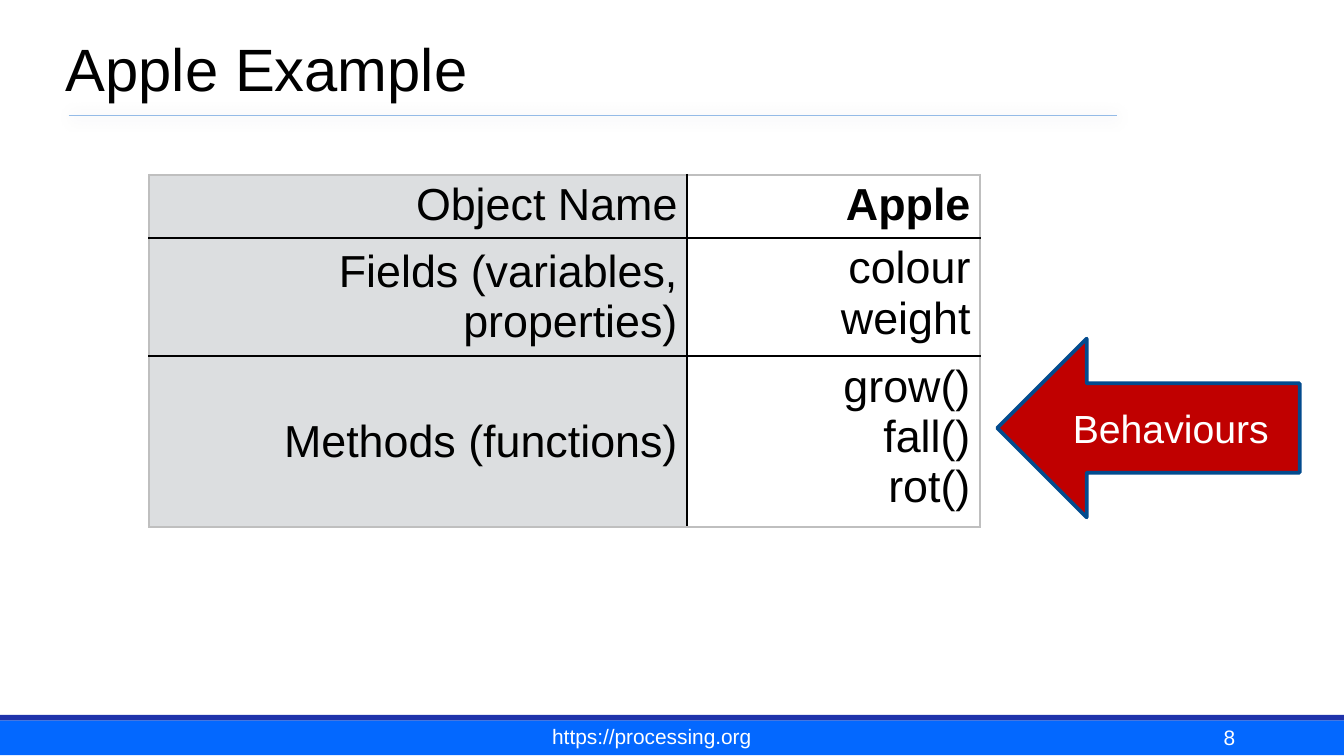
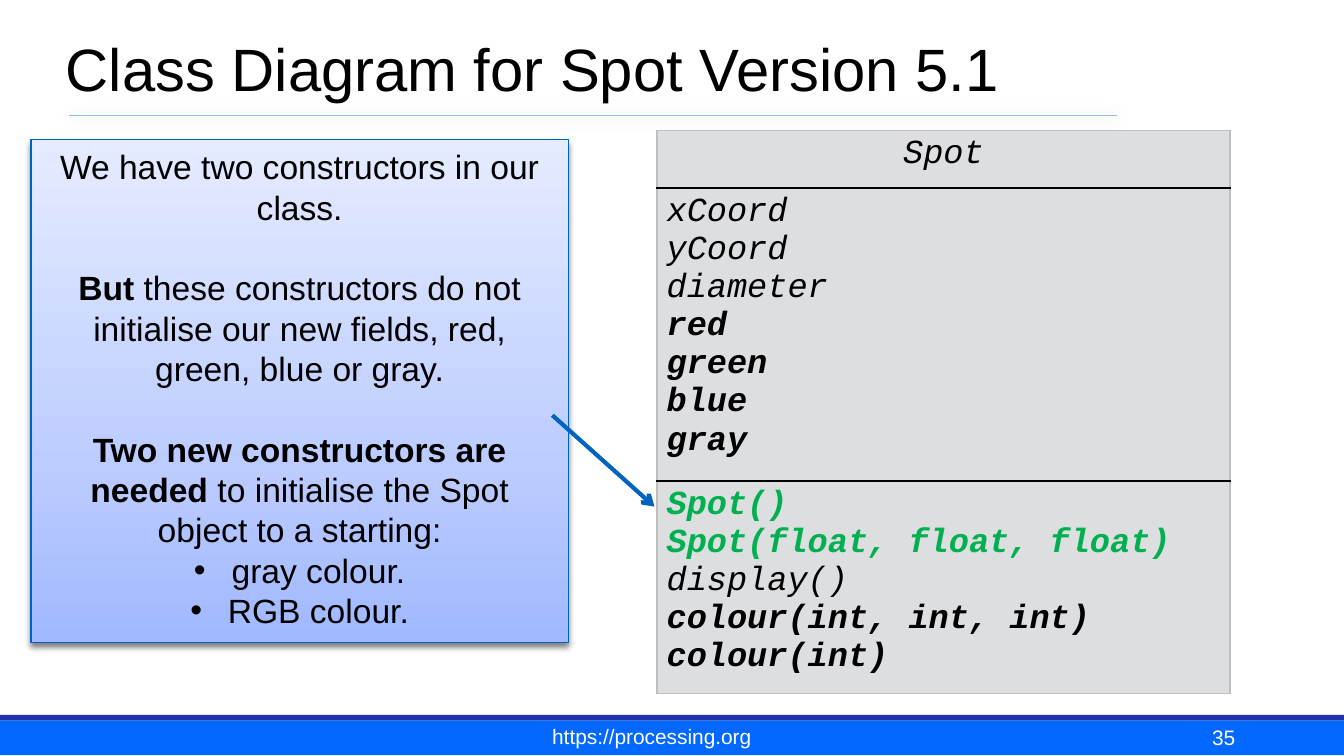
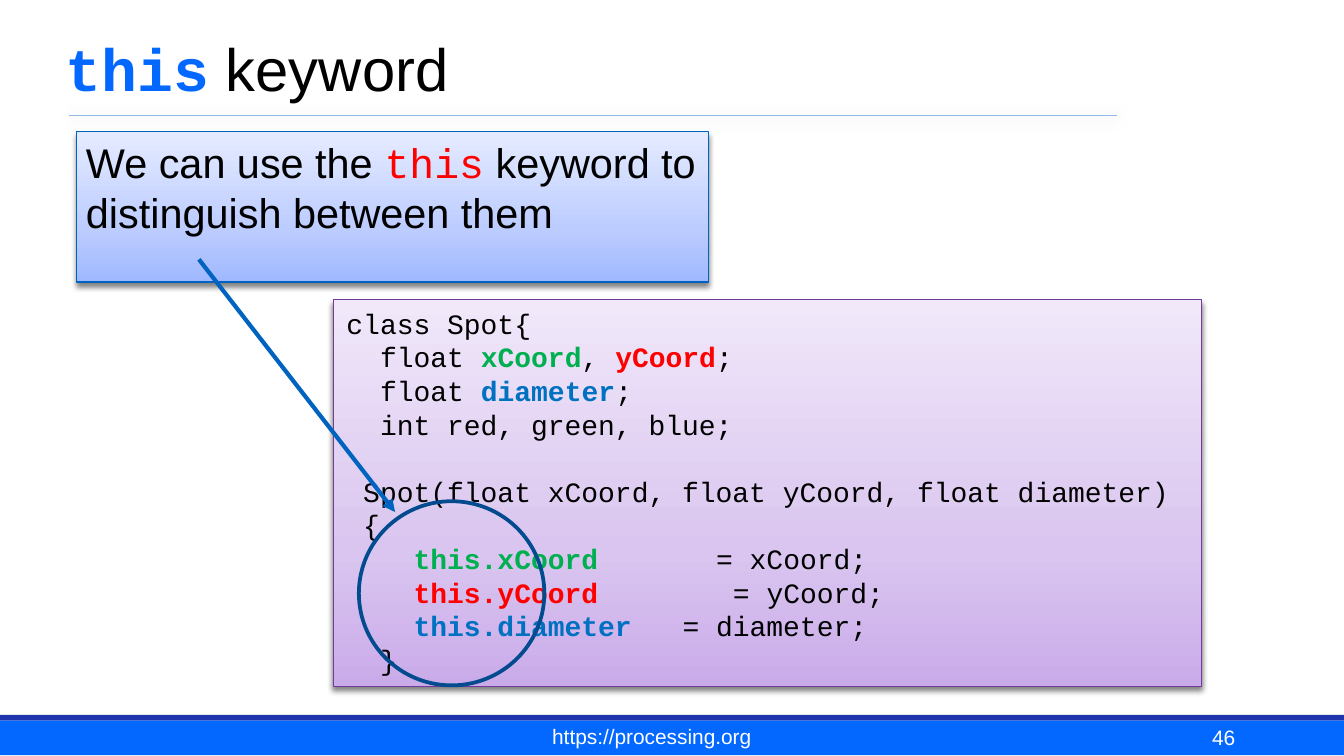
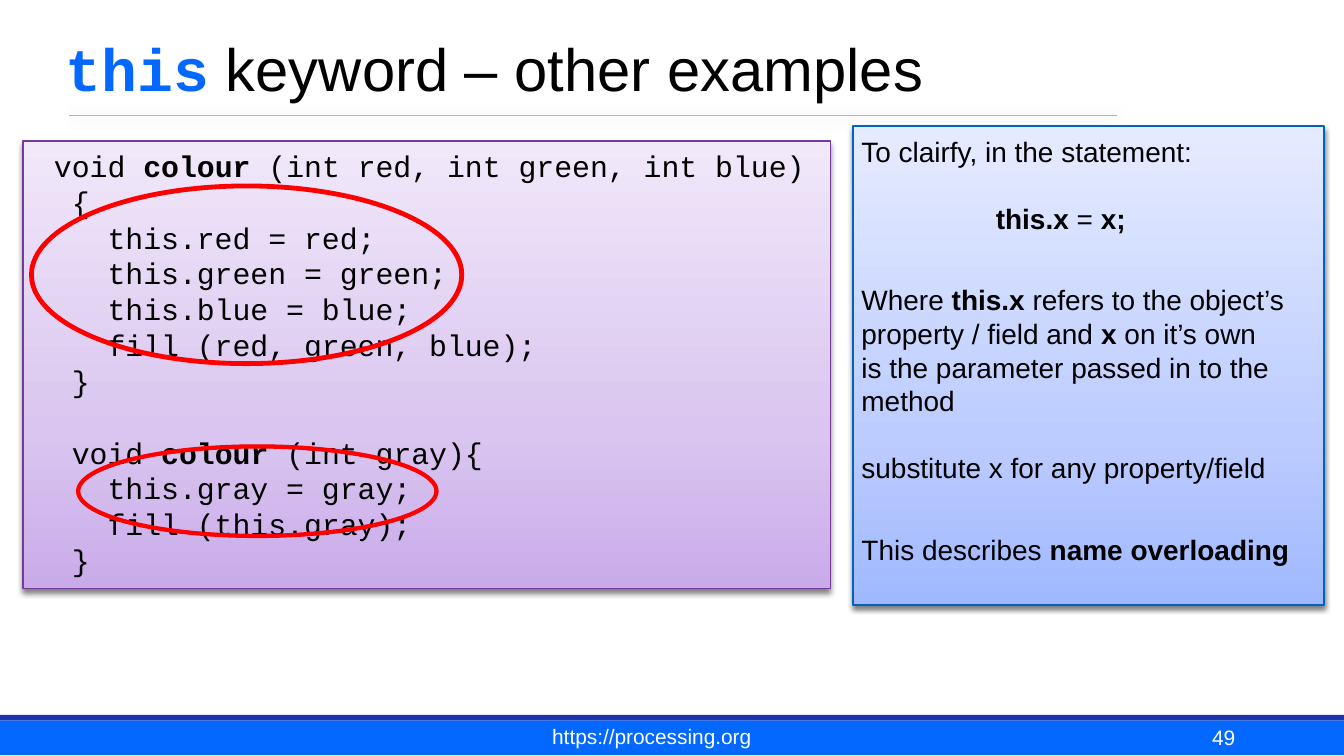
from lxml import etree
from pptx import Presentation
from pptx.dml.color import RGBColor
from pptx.enum.shapes import MSO_CONNECTOR as CONN, MSO_SHAPE as SHAPE
from pptx.enum.text import MSO_ANCHOR as ANCHOR, PP_ALIGN as ALIGN
from pptx.oxml import parse_xml
from pptx.oxml.ns import nsdecls, qn
from pptx.util import Inches, Pt

C = {
    "black": "000000", "white": "FFFFFF", "bar": "0368FF", "bar_edge": "1F33AB",
    "rule": "94BBE7", "rule_shadow": "003D62", "arrow": "0063BF", "outline": "024B8E",
    "callout": "C00000", "cell": "DCDEE0", "frame": "BFBFBF",
    "green": "00B050", "red": "FF0000", "blue": "0070C0",
}
SANS, MONO = "Arial", "Courier New"
BOLD = {"bold": True}
TITLE_THIS = ("this", {"name": MONO, "color": "bar", "bold": True})
PANELS = {
    "blue": {"stops": ((0, "A0B8FF"), (35, "BCCCFF"), (100, "E5EBFF")), "line": "0063BF"},
    "purple": {"stops": ((0, "CAABEA"), (35, "D9C5EF"), (100, "F1E8FA")), "line": "753B9A"},
}


def rgb(name):
    return RGBColor.from_string(C.get(name, name))


def para(*runs, bullet=False, tab=None, **fmt):
    """A paragraph: runs are strings or (string, font values) pairs."""
    return runs, bullet, tab, fmt


def colored(text, color, **fmt):
    return text, {"color": color, **fmt}


def add_bullet(p):
    pPr = p._p.get_or_add_pPr()
    pPr.set("marL", str(Inches(0.28)))
    pPr.set("indent", str(-Inches(0.28)))
    etree.SubElement(pPr, qn("a:buFont")).set("typeface", SANS)
    etree.SubElement(pPr, qn("a:buChar")).set("char", "•")


def add_tab(p, at):
    tabs = etree.SubElement(p._p.get_or_add_pPr(), qn("a:tabLst"))
    etree.SubElement(tabs, qn("a:tab"), pos=str(Inches(at)), algn="l")


def write(tf, paras, size, name=SANS, color="black", align=ALIGN.LEFT, pitch=None, **font):
    """Fill a text frame; pitch is the line height as a multiple of the size."""
    for i, item in enumerate(paras):
        runs, bullet, tab, fmt = para(item) if isinstance(item, str) else item
        p = tf.paragraphs[0] if i == 0 else tf.add_paragraph()
        if bullet:
            add_bullet(p)
        if tab:
            add_tab(p, tab)
        values = {"alignment": align, **fmt}
        if pitch:
            values["line_spacing"] = Pt(round(size * pitch, 1))
        for key, value in values.items():
            setattr(p, key, value)
        for run in runs:
            text, own = (run, {}) if isinstance(run, str) else run
            r = p.add_run()
            r.text = text
            look = {"size": Pt(size), "name": name, "color": color, **font, **own}
            r.font.color.rgb = rgb(look.pop("color"))
            for key, value in look.items():
                setattr(r.font, key, value)


def set_margins(target, dx, dy):
    for side, gap in zip(("left", "top", "right", "bottom"), (dx, dy, dx, dy)):
        setattr(target, f"margin_{side}", Inches(gap))


def setup_frame(tf, anchor, insets):
    tf.word_wrap = True
    tf.vertical_anchor = anchor
    set_margins(tf, *insets)


def add_text(s, box, paras, size, insets=(0.06, 0.06), **fmt):
    tf = s.shapes.add_textbox(*map(Inches, box)).text_frame
    setup_frame(tf, ANCHOR.BOTTOM, insets)
    write(tf, paras, size, **fmt)


def add_shape(s, kind, box, fill=None, line=None, width=1):
    sp = s.shapes.add_shape(kind, *map(Inches, box))
    sp.shadow.inherit = False
    if fill:
        sp.fill.solid()
        sp.fill.fore_color.rgb = rgb(fill)
    else:
        sp.fill.background()
    if line:
        sp.line.color.rgb = rgb(line)
        sp.line.width = Pt(width)
    else:
        sp.line.fill.background()
    return sp


def add_shadow(effects, color, alpha, blur, dist, angle):
    effects.append(parse_xml(
        f'<a:outerShdw {nsdecls("a")} blurRad="{Pt(blur)}" dist="{Pt(dist)}" '
        f'dir="{angle * 60000}" rotWithShape="0"><a:srgbClr val="{C[color]}">'
        f'<a:alpha val="{alpha * 1000}"/></a:srgbClr></a:outerShdw>'))


def add_panel(s, style, box, paras, size, insets=(0.1, 0.05), width=0.75, **fmt):
    """A shadowed box with a gradient that darkens downwards."""
    look = PANELS[style]
    sp = add_shape(s, SHAPE.RECTANGLE, box, line=look["line"], width=width)
    sp.fill.gradient()
    sp.fill.gradient_angle = 90
    stops = sp._element.spPr.find(".//" + qn("a:gsLst"))
    for old in list(stops):
        stops.remove(old)
    for pos, color in look["stops"]:
        gs = etree.SubElement(stops, qn("a:gs"), pos=str(pos * 1000))
        etree.SubElement(gs, qn("a:srgbClr"), val=color)
    add_shadow(sp._element.spPr.find(qn("a:effectLst")), "black", 50, 3, 2, 90)
    setup_frame(sp.text_frame, ANCHOR.TOP, insets)
    write(sp.text_frame, paras, size, pitch=1.2, **fmt)


def add_line(s, start, end, color, width, head=None):
    """Draw a straight line and return its effect list."""
    cn = s.shapes.add_connector(CONN.STRAIGHT, *map(Inches, start + end))
    cn.line.color.rgb = rgb(color)
    cn.line.width = Pt(width)
    spPr = cn._element.spPr
    if head:
        etree.SubElement(spPr.find(qn("a:ln")), qn("a:tailEnd"), type=head)
    return etree.SubElement(spPr, qn("a:effectLst"))


def add_ring(s, box):
    sp = add_shape(s, SHAPE.DONUT, box, "red", "red", 2)
    sp.adjustments[0] = 0.006


def set_borders(cell, outer):
    """Black inner borders; the sides named in outer get the frame colour."""
    tcPr = cell._tc.get_or_add_tcPr()
    for i, side in enumerate("LRTB"):
        color = C["frame" if side in outer else "black"]
        tcPr.insert(i, parse_xml(
            f'<a:ln{side} {nsdecls("a")} w="{Pt(1)}"><a:solidFill>'
            f'<a:srgbClr val="{color}"/></a:solidFill></a:ln{side}>'))


def add_table(s, at, widths, heights, rows):
    """Each cell is (paragraphs, fill or None, anchor, text format)."""
    size = sum(widths), sum(heights)
    table = s.shapes.add_table(len(rows), len(widths), *map(Inches, at + size)).table
    for flag in ("first_row", "horz_banding"):
        setattr(table, flag, False)
    for col, width in zip(table.columns, widths):
        col.width = Inches(width)
    for i, (row, height) in enumerate(zip(rows, heights)):
        table.rows[i].height = Inches(height)
        for j, (paras, fill, anchor, fmt) in enumerate(row):
            cell = table.cell(i, j)
            set_margins(cell, 0.07, 0.04)
            cell.vertical_anchor = anchor
            if fill:
                cell.fill.solid()
                cell.fill.fore_color.rgb = rgb(fill)
            else:
                cell.fill.background()
            write(cell.text_frame, paras, **fmt)
            edges = (("L", j == 0), ("R", j == len(row) - 1),
                     ("T", i == 0), ("B", i == len(rows) - 1))
            set_borders(cell, [side for side, is_outer in edges if is_outer])


def new_slide(prs, number, *title):
    s = prs.slides.add_slide(prs.slide_layouts[6])
    add_shape(s, SHAPE.RECTANGLE, (0, 5.36, 10, 0.26), "bar")
    add_shape(s, SHAPE.RECTANGLE, (0, 5.32, 10, 0.04), "bar_edge")
    rule = add_line(s, (0.51, 0.86), (8.31, 0.86), "rule", 1)
    add_shadow(rule, "rule_shadow", 20, 8, 1, 45)
    add_text(s, (0.43, 0, 8.5, 0.83), [para(*title)], 32)
    add_text(s, (3.52, 5.35, 2.66, 0.26), ["https://processing.org"], 11.2,
             insets=(0.08, 0.04), color="white", align=ALIGN.CENTER)
    add_text(s, (7.17, 5.33, 2.08, 0.31), [str(number)], 11.2,
             color="white", align=ALIGN.RIGHT)
    return s


def apple_slide(prs):
    s = new_slide(prs, 8, "Apple Example")
    fmt = {"size": 24, "align": ALIGN.RIGHT, "pitch": 1.12}
    content = (
        ("Object Name", ANCHOR.TOP, [para(("Apple", BOLD))]),
        ("Fields (variables, properties)", ANCHOR.MIDDLE, ["colour", "weight"]),
        ("Methods (functions)", ANCHOR.MIDDLE, ["grow()", "fall()", "rot()"]),
    )
    rows = [(([label], "cell", anchor, fmt), (values, None, ANCHOR.TOP, fmt))
            for label, anchor, values in content]
    add_table(s, (1.11, 1.3), (4, 2.18), (0.47, 0.88, 1.27), rows)
    sp = add_shape(s, SHAPE.LEFT_ARROW, (7.42, 2.52, 2.25, 1.33), "callout", "outline", 2)
    setup_frame(sp.text_frame, ANCHOR.MIDDLE, (0.1, 0.05))
    write(sp.text_frame, ["Behaviours"], 21, color="white", align=ALIGN.CENTER)


def class_diagram_slide(prs):
    s = new_slide(prs, 35, "Class Diagram for Spot Version 5.1")
    fmt = {"size": 18, "name": MONO, "italic": True}
    fields = ["xCoord", "yCoord", "diameter"]
    fields += [para((name, BOLD)) for name in ("red", "green", "blue", "gray")]
    methods = [para(colored(name, "green", bold=True))
               for name in ("Spot()", "Spot(float, float, float)")]
    methods += ["display()"]
    methods += [para((name, BOLD)) for name in ("colour(int, int, int)", "colour(int)")]
    rows = [((["Spot"], "cell", ANCHOR.TOP, {**fmt, "align": ALIGN.CENTER}),)]
    rows += [((paras, "cell", ANCHOR.TOP, fmt),) for paras in (fields, methods)]
    add_table(s, (4.89, 0.97), (4.26,), (0.43, 2.17, 1.57), rows)

    gap = Pt(21.6)
    add_panel(s, "blue", (0.23, 1.04, 4, 3.74), [
        "We have two constructors in our class.",
        para(("But", BOLD), " these constructors do not initialise our new fields, "
             "red, green, blue or gray.", space_before=gap),
        para(("Two new constructors are needed ", BOLD),
             "to initialise the Spot object to a starting:", space_before=gap),
        para("gray colour.", bullet=True),
        para("RGB colour.", bullet=True),
    ], 18, align=ALIGN.CENTER)
    add_line(s, (4.11, 3.09), (4.87, 3.77), "arrow", 2.25, "arrow")


def this_slide(prs):
    s = new_slide(prs, 46, TITLE_THIS, " keyword")
    x, y, d = (colored(name, color, bold=True) for name, color in
               (("xCoord", "green"), ("yCoord", "red"), ("diameter", "blue")))
    add_panel(s, "purple", (2.48, 2.23, 6.46, 2.88), [
        "class Spot{",
        para("  float ", x, ", ", y, ";"),
        para("  float ", d, ";"),
        "  int red, green, blue;",
        para(" Spot(float xCoord, float yCoord, float diameter)", space_before=Pt(18)),
        " {",
        para(colored("    this.xCoord       ", "green", bold=True), "= xCoord;"),
        para(colored("    this.yCoord        ", "red", bold=True), "= yCoord;"),
        para(colored("    this.diameter   ", "blue", bold=True), "= diameter;"),
        "  }",
    ], 15, name=MONO)
    add_panel(s, "blue", (0.57, 0.98, 4.7, 1.12), [
        para("We can use the ", colored("this", "red", name=MONO),
             " keyword to distinguish between them"),
    ], 22.2, insets=(0.07, 0.04))
    add_shape(s, SHAPE.OVAL, (2.67, 3.73, 1.38, 1.37), line="outline", width=2)
    add_line(s, (1.48, 1.93), (2.94, 3.81), "arrow", 2.25, "triangle")


def other_examples_slide(prs):
    s = new_slide(prs, 49, TITLE_THIS, " keyword – other examples")
    method = ("colour", BOLD)
    add_panel(s, "purple", (0.17, 1.05, 6.01, 3.33), [
        para(" void ", method, " (int red, int green, int blue)"),
        "  {",
        "    this.red = red;",
        "    this.green = green;",
        "    this.blue = blue;",
        "    fill (red, green, blue);",
        "  }",
        para("  void ", method, " (int gray){", space_before=Pt(19.2)),
        "    this.gray = gray;",
        "    fill (this.gray);",
        "  }",
    ], 16, name=MONO)
    for box in ((0.23, 1.38, 3.21, 1.33), (0.58, 3.32, 2.67, 0.67)):
        add_ring(s, box)
    line_gap, wide_gap = Pt(18), Pt(25.6)
    add_panel(s, "blue", (6.35, 0.94, 3.5, 3.56), [
        "To clairfy, in the statement:",
        para("\t", ("this.x", BOLD), " = ", ("x;", BOLD), tab=1, space_before=line_gap),
        para("Where ", ("this.x", BOLD), " refers to the object’s property / field and ",
             ("x", BOLD), " on it’s own", space_before=wide_gap),
        "is the parameter passed in to the method",
        para("substitute x for any property/field", space_before=line_gap),
        para("This describes ", ("name overloading", BOLD), space_before=wide_gap),
    ], 15, insets=(0.06, 0.06), width=1)


def main():
    prs = Presentation()
    prs.slide_width = Inches(10)
    prs.slide_height = prs.slide_width * 9 // 16
    for build in (apple_slide, class_diagram_slide, this_slide, other_examples_slide):
        build(prs)
    prs.save("out.pptx")


if __name__ == "__main__":
    main()
